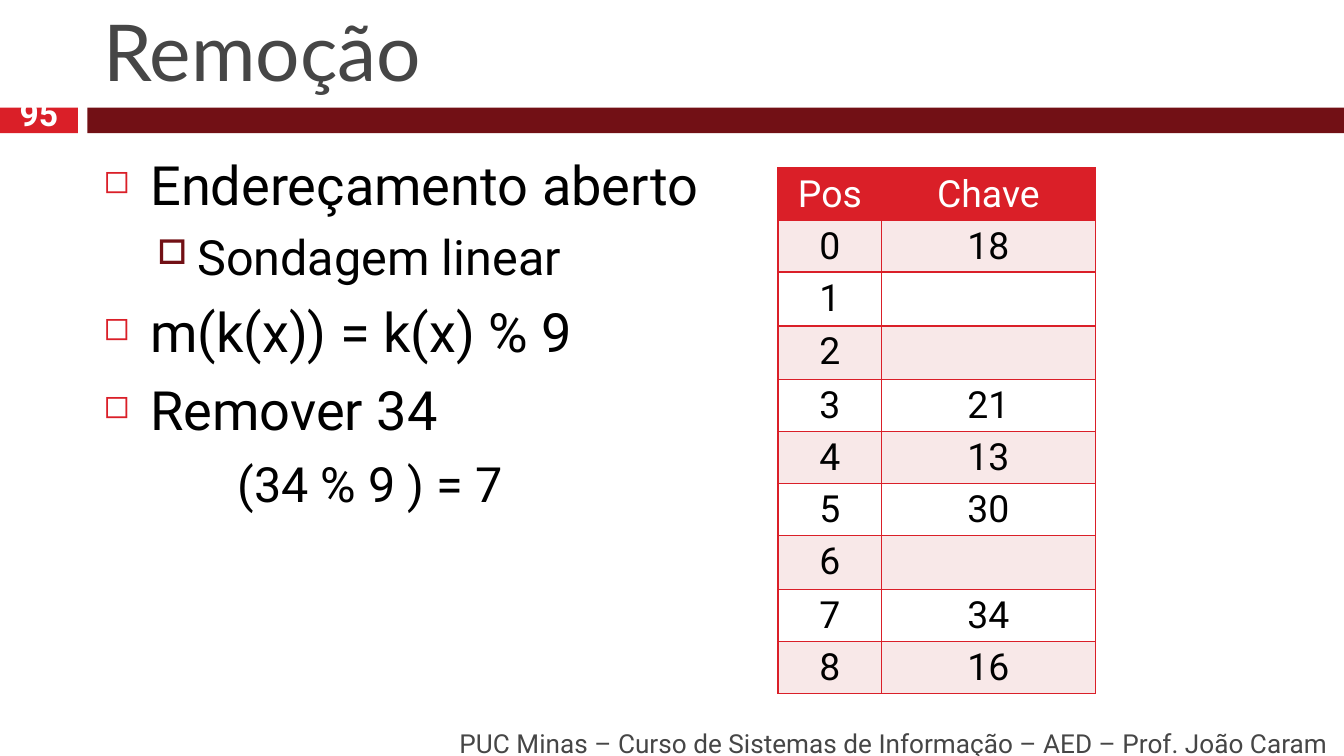
from lxml import etree
from pptx import Presentation
from pptx.dml.color import RGBColor
from pptx.enum.shapes import MSO_SHAPE
from pptx.enum.text import MSO_ANCHOR, PP_ALIGN
from pptx.oxml.ns import qn
from pptx.util import Inches, Pt

RECT = MSO_SHAPE.RECTANGLE
TOP, MIDDLE, BOTTOM = MSO_ANCHOR.TOP, MSO_ANCHOR.MIDDLE, MSO_ANCHOR.BOTTOM
LEFT, CENTER, RIGHT = PP_ALIGN.LEFT, PP_ALIGN.CENTER, PP_ALIGN.RIGHT
COLORS = {"red": "DA1F28", "wine": "721015", "gray": "464646",
          "black": "000000", "white": "FFFFFF", "pink": "F8E8E8"}
FORMATS = {
    "title": {"name": "Lato", "size": Pt(42)},
    "item": {"name": "Roboto", "size": Pt(29)},
    "subitem": {"name": "Roboto", "size": Pt(26)},
    "cell": {"name": "Roboto", "size": Pt(20)},
    "footer": {"name": "Roboto", "size": Pt(14)},
    "number": {"name": "Roboto", "size": Pt(18), "bold": True},
}


def write(p, text, style, color, align=LEFT):
    r = p.add_run()
    r.text = text
    p.alignment = align
    for key, value in FORMATS[style].items():
        setattr(r.font, key, value)
    r.font.color.rgb = RGBColor.from_string(COLORS[color])


def add_box(s, left, top, width, height, anchor):
    sp = s.shapes.add_textbox(Inches(left), Inches(top), Inches(width), Inches(height))
    tf = sp.text_frame
    tf.word_wrap = True
    tf.vertical_anchor = anchor
    return tf


prs = Presentation()
prs.slide_width, prs.slide_height = Inches(10), Inches(10) * 9 // 16
s = prs.slides.add_slide(prs.slide_layouts[6])

for left, width, color in [(0, 0.58, "red"), (0.65, 9.35, "wine")]:
    sp = s.shapes.add_shape(RECT, Inches(left), Inches(0.8), Inches(width), Inches(0.19))
    sp.shadow.inherit = False
    sp.fill.solid()
    sp.fill.fore_color.rgb = RGBColor.from_string(COLORS[color])
    sp.line.fill.background()

tf = add_box(s, 0.67, 0.13, 9.22, 0.64, BOTTOM)
write(tf.paragraphs[0], "Remoção", "title", "gray")

ITEM = ("item", 0.35, -0.35, 7, ("◻", "red", 60))
SUBITEM = ("subitem", 0.7, -0.3, 5.5, ("□", "wine", 70))
RESULT = ("subitem", 1, 0, 7, None)
items = [("Endereçamento aberto", ITEM), ("Sondagem linear", SUBITEM),
         ("m(k(x)) = k(x) % 9", ITEM), ("Remover 34", ITEM),
         ("(34 % 9 ) = 7", RESULT)]

tf = add_box(s, 0.67, 1.08, 9.22, 4.25, TOP)
for i, (text, (style, margin, indent, before, bullet)) in enumerate(items):
    p = tf.add_paragraph() if i else tf.paragraphs[0]
    p.space_before = Pt(before if i else 0)
    pPr = p._p.get_or_add_pPr()
    pPr.set("marL", str(Inches(margin)))
    pPr.set("indent", str(Inches(indent)))
    if bullet:
        char, color, percent = bullet
        buClr = etree.SubElement(pPr, qn("a:buClr"))
        etree.SubElement(buClr, qn("a:srgbClr"), val=COLORS[color])
        etree.SubElement(pPr, qn("a:buSzPct"), val=str(percent * 1000))
        etree.SubElement(pPr, qn("a:buChar"), char=char)
    write(p, text, style, "black")

keys = ["18", "", "", "21", "13", "30", "", "34", "16"]
rows = [("Pos", "Chave")] + [(str(i), key) for i, key in enumerate(keys)]
table = s.shapes.add_table(len(rows), 2, Inches(5.79), Inches(1.25),
                           Inches(2.36), Inches(3.91)).table
for column, width in zip(table.columns, (0.77, 1.59)):
    column.width = Inches(width)
margins = {"margin_left": 0.07, "margin_top": 0.05,
           "margin_right": 0.07, "margin_bottom": 0.03}
for i, row in enumerate(rows):
    table.rows[i].height = Inches(0.38 if row[1] else 0.4)
    fill = "red" if i == 0 else "pink" if i % 2 else "white"
    for j, text in enumerate(row):
        cell = table.cell(i, j)
        tcPr = cell._tc.get_or_add_tcPr()
        for side in ("a:lnL", "a:lnR", "a:lnT", "a:lnB"):
            ln = etree.SubElement(tcPr, qn(side), w=str(Pt(1)))
            solid = etree.SubElement(ln, qn("a:solidFill"))
            etree.SubElement(solid, qn("a:srgbClr"), val=COLORS["red"])
        cell.fill.solid()
        cell.fill.fore_color.rgb = RGBColor.from_string(COLORS[fill])
        if text:
            for key, value in margins.items():
                setattr(cell, key, Inches(value))
            p = cell.text_frame.paragraphs[0]
            p.line_spacing = 0.92
            write(p, text, "cell", "black" if i else "white", CENTER)

tf = add_box(s, 1.06, 5.38, 8.92, 0.3, MIDDLE)
write(tf.paragraphs[0], "PUC Minas – Curso de Sistemas de Informação – AED – Prof. João Caram",
      "footer", "gray", RIGHT)

tf = add_box(s, 0, 0.77, 0.58, 0.2, MIDDLE)
tf.paragraphs[0].line_spacing = 0.8
write(tf.paragraphs[0], "95", "number", "white", CENTER)

prs.save("out.pptx")
